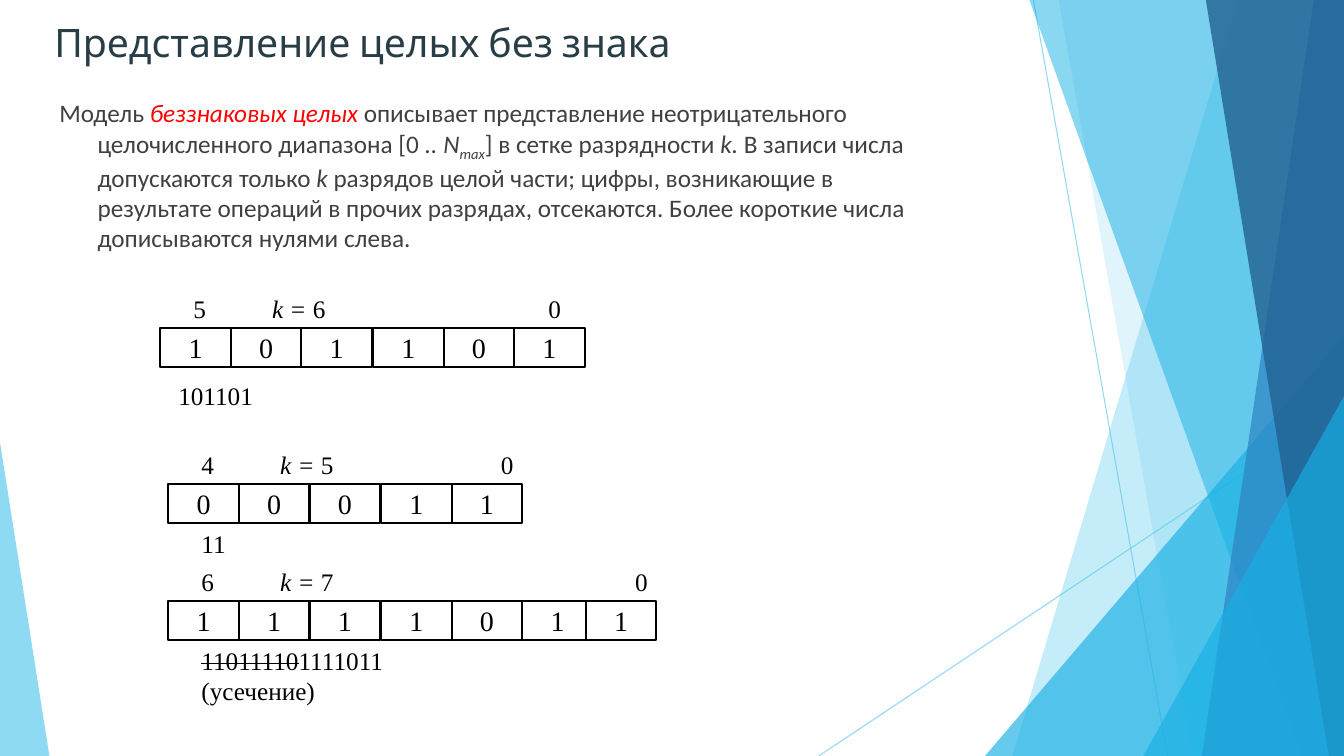
from lxml import etree
from pptx import Presentation, util as u
from pptx.dml.color import RGBColor
from pptx.enum import shapes, text
from pptx.oxml.ns import qn

PX = 9144  # EMU per px, 100 px to the inch
WIDTH, HEIGHT = 1333, 750
COLORS = {
    "sky": "5FCBEF", "cyan": "17B0E4", "blue": "2E83C3", "navy": "226292",
    "title": "293D46", "body": "404040", "accent": "FF0000",
    "ink": "000000", "paper": "FFFFFF",
}
SERIF = "Times New Roman"


def color(name):
    return RGBColor.from_string(COLORS[name])


def write(paragraph, content, size=18, font=SERIF, ink="ink", italic=False, strike=False, baseline=0):
    run = paragraph.add_run()
    run.text = content
    run.font.size = u.Pt(size)
    run.font.name = font
    run.font.italic = italic
    run.font.color.rgb = color(ink)
    properties = run._r.get_or_add_rPr()
    if strike:
        properties.set("strike", "sngStrike")
    if baseline:
        properties.set("baseline", str(baseline * 1000))


def set_opacity(element, percent):
    fill_color = element.spPr.find(".//" + qn("a:srgbClr"))
    etree.SubElement(fill_color, qn("a:alpha")).set("val", str(percent * 1000))


class Board:
    CELL, CELL_HEIGHT, STEP = 70, 39, 70.25

    def __init__(self, slide):
        self.shapes = slide.shapes

    def paint(self, shape, fill, opacity=100, outline=None):
        shape.shadow.inherit = False
        shape.fill.solid()
        shape.fill.fore_color.rgb = color(fill)
        if opacity < 100:
            set_opacity(shape._element, opacity)
        if outline:
            shape.line.color.rgb = color(outline)
            shape.line.width = u.Pt(1.5)
        else:
            shape.line.fill.background()

    def ray(self, x1, y1, x2, y2):
        ray = self.shapes.add_connector(
            shapes.MSO_CONNECTOR.STRAIGHT, x1 * PX, y1 * PX, x2 * PX, y2 * PX)
        ray.line.color.rgb = color("sky")
        ray.line.width = u.Pt(0.75)
        set_opacity(ray._element, 70)
        etree.SubElement(ray._element.spPr, qn("a:effectLst"))

    def band(self, top_x, bottom_x, fill, opacity):
        """Band from a slanted left edge to the right side of the slide."""
        outline = self.shapes.build_freeform(top_x, 0, scale=PX)
        outline.add_line_segments([(WIDTH, 0), (WIDTH, HEIGHT), (bottom_x, HEIGHT)])
        self.paint(outline.convert_to_shape(), fill, opacity)

    def triangle(self, x, y, w, fill, opacity, apex):
        corner = self.shapes.add_shape(
            shapes.MSO_SHAPE.ISOSCELES_TRIANGLE, x * PX, y * PX, w * PX, (HEIGHT - y) * PX)
        corner.adjustments[0] = apex
        self.paint(corner, fill, opacity)

    def label(self, x, y, w, h, *paragraphs, wrap=True, grow=True, indent=0):
        """Each paragraph is a list of (text, format) runs."""
        box = self.shapes.add_textbox(x * PX, y * PX, w * PX, h * PX)
        frame = box.text_frame
        frame.word_wrap = wrap
        frame.auto_size = (text.MSO_AUTO_SIZE.SHAPE_TO_FIT_TEXT if grow
                           else text.MSO_AUTO_SIZE.NONE)
        for number, runs in enumerate(paragraphs):
            paragraph = frame.add_paragraph() if number else frame.paragraphs[0]
            if indent:
                properties = paragraph._p.get_or_add_pPr()
                properties.set("marL", str(indent * PX))
                properties.set("indent", str(-indent * PX))
            for content, style in runs:
                write(paragraph, content, **style)

    def cell(self, x, y, digit):
        cell = self.shapes.add_shape(
            shapes.MSO_SHAPE.RECTANGLE, x * PX, y * PX, self.CELL * PX, self.CELL_HEIGHT * PX)
        self.paint(cell, "paper", outline="ink")
        cell.text_frame.vertical_anchor = text.MSO_ANCHOR.MIDDLE
        paragraph = cell.text_frame.paragraphs[0]
        paragraph.alignment = text.PP_ALIGN.CENTER
        write(paragraph, digit, size=20)

    def register(self, x, y, digits, zero_x, last_x=None):
        """Row of digit cells with the bit numbers and the width k above."""
        cells = [x + round(i * self.STEP) for i in range(len(digits))]
        if last_x:
            cells[-1] = last_x
        for cell_x, digit in zip(cells, digits):
            self.cell(cell_x, y, digit)
        width = len(digits)
        above = y - 39
        self.label(x + 23, above, 33, 40, [(str(width - 1), {})], wrap=False)
        self.label(x + 101, above, 74, 40,
                   [("k = ", {"italic": True}), (str(width), {})], wrap=False)
        self.label(zero_x, above, 33, 40, [("0", {})], wrap=False)


def main():
    deck = Presentation()
    deck.slide_width, deck.slide_height = WIDTH * PX, HEIGHT * PX
    board = Board(deck.slides.add_slide(deck.slide_layouts[6]))

    # Background facets
    board.ray(1025, 0, 1158, HEIGHT)
    board.ray(WIDTH, 403, 812, HEIGHT)
    board.band(1228, 1004, "sky", 36)
    board.band(1050, 1183, "sky", 20)
    board.triangle(977, 333, 356, "cyan", 66, apex=1)
    board.band(1021, 1291, "cyan", 50)
    board.band(1303, 1192, "blue", 70)
    board.band(1196, 1318, "navy", 80)
    board.triangle(1134, 393, 199, "cyan", 66, apex=1)
    board.triangle(0, 439, 49, "sky", 70, apex=0)

    # Title
    board.label(44, 13, 917, 81,
                [("Представление целых без знака", {"size": 28, "font": "Cabin", "ink": "title"})],
                grow=False)

    # Definition
    plain = {"font": "Calibri", "ink": "body"}
    italic = {**plain, "italic": True}
    board.label(49, 92, 876, 180, [
        ("Модель ", plain),
        ("беззнаковых целых ", {**italic, "ink": "accent"}),
        ("описывает представление неотрицательного целочисленного диапазона [0 ", plain),
        (".. N", italic),
        ("max", {**italic, "baseline": -25}),
        ("] в сетке разрядности ", plain),
        ("k. ", italic),
        ("В записи числа допускаются только ", plain),
        ("k ", italic),
        ("разрядов целой части; цифры, возникающие в результате операций в прочих разрядах, "
         "отсекаются. Более короткие числа дописываются нулями слева.", plain),
    ], grow=False, indent=38)

    # Registers and the numbers they hold
    board.register(159, 325, "101101", zero_x=534)
    board.label(167, 372, 102, 40, [("101101", {})])
    board.register(167, 480, "00011", zero_x=487)
    board.label(190, 519, 55, 40, [("11", {})])
    board.register(167, 596, "1111011", zero_x=620, last_x=581)
    board.label(190, 635, 469, 71,
                [("11011110", {"strike": True}), ("1111011", {})],
                [("(усечение)", {})])

    deck.save("out.pptx")


if __name__ == "__main__":
    main()
